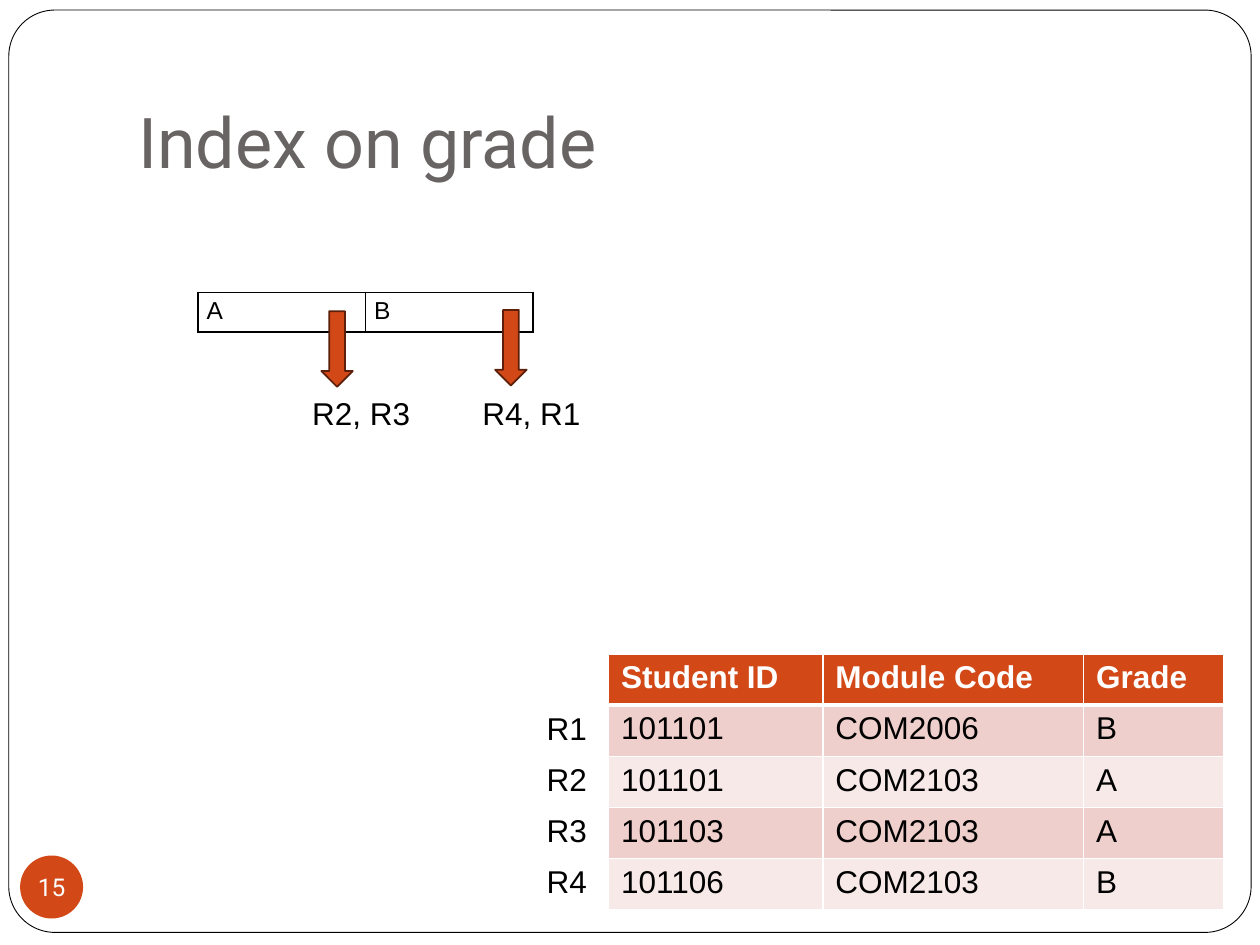
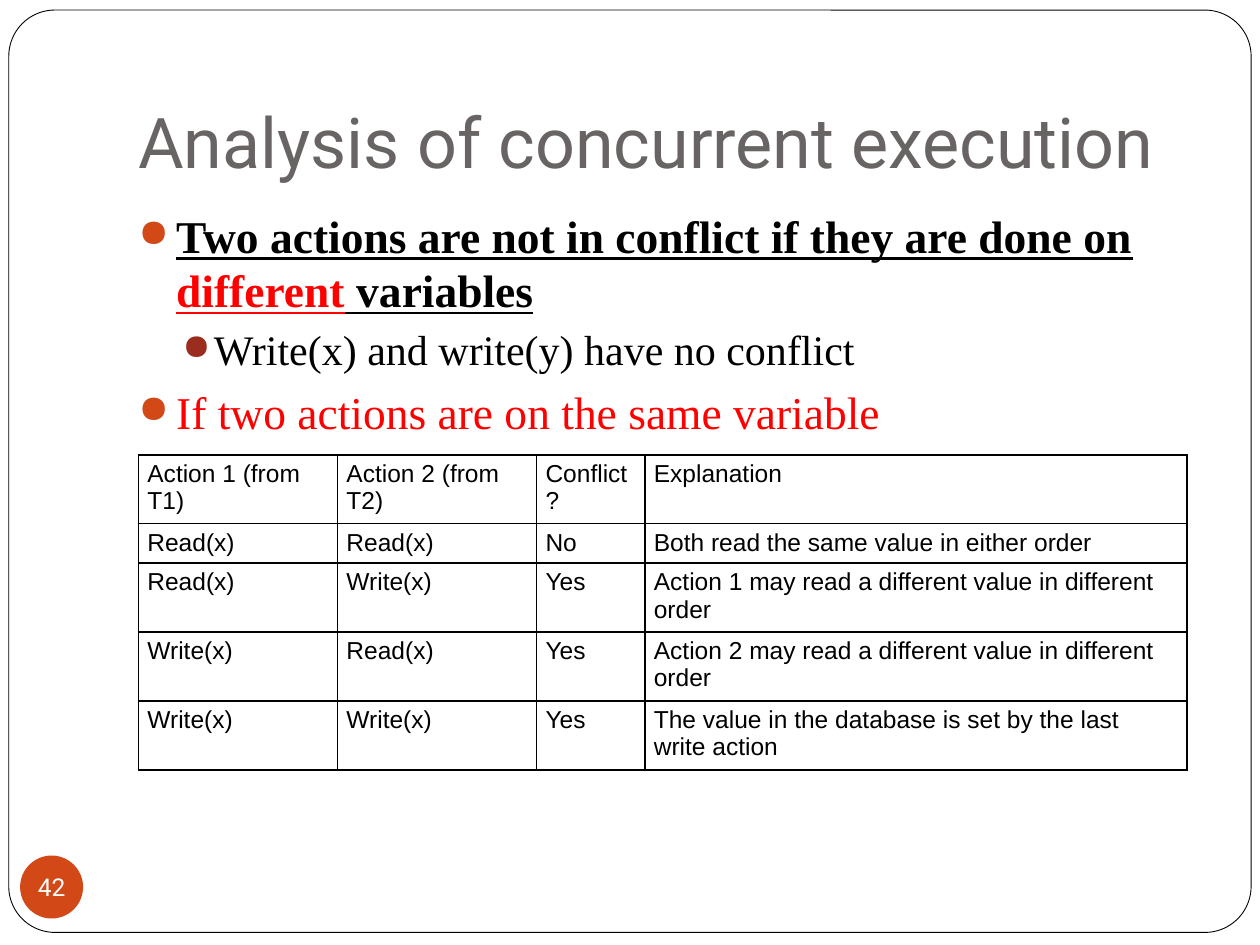
from dataclasses import dataclass
from typing import NamedTuple, Optional, Sequence

from lxml.etree import SubElement
from pptx import Presentation
from pptx.dml.color import RGBColor
from pptx.enum.shapes import MSO_SHAPE
from pptx.enum.text import MSO_ANCHOR, PP_ALIGN
from pptx.oxml.ns import qn
from pptx.presentation import Presentation as Deck
from pptx.shapes.autoshape import Shape
from pptx.slide import Slide
from pptx.table import _Cell
from pptx.text.text import TextFrame, _Paragraph
from pptx.util import Inches, Pt


@dataclass(frozen=True)
class Theme:
    accent: str = "D34817"
    accent_edge: str = "5C200A"
    sub_bullet: str = "9B2D1F"
    heading: str = "696464"
    ink: str = "000000"
    paper: str = "FFFFFF"
    highlight: str = "FF0000"
    band_dark: str = "EFCFCC"
    band_light: str = "F7E9E8"
    display_font: str = "Roboto"
    label_font: str = "Arial"
    body_font: str = "Times New Roman"
    title_size: int = 40
    point_size: int = 26
    sub_point_size: int = 24
    label_size: int = 18
    small_size: int = 14


THEME = Theme()


class Box(NamedTuple):
    left: float
    top: float
    width: float
    height: float

    def lengths(self) -> list[int]:
        return [Inches(value) for value in self]


class Insets(NamedTuple):
    left: float
    top: float
    right: float
    bottom: float


class Phrase(NamedTuple):
    text: str
    color: str = THEME.ink


class Point(NamedTuple):
    phrases: Sequence[Phrase]
    level: int = 0
    strong: bool = False


class BulletLevel(NamedTuple):
    left: float
    hanging: float
    color: str
    size: int
    space_before: float


class TableStyle(NamedTuple):
    size: int
    insets: Insets
    border: str
    header_fill: Optional[str] = None
    bands: Sequence[str] = ()


class Pointer(NamedTuple):
    """An index entry's arrow and the records it leads to."""
    arrow: Box
    records: str
    label_left: float


BULLET_LEVELS = (
    BulletLevel(0.3, 0.3, THEME.accent, THEME.point_size, 5.8),
    BulletLevel(0.6, 0.25, THEME.sub_bullet, THEME.sub_point_size, 3.8),
)
STANDARD_INSETS = Insets(0.1, 0.05, 0.1, 0.05)
GRID_STYLE = TableStyle(THEME.small_size, Insets(0.07, 0.04, 0.07, 0.04), THEME.ink)
BANDED_STYLE = TableStyle(THEME.label_size, STANDARD_INSETS, THEME.paper,
                          THEME.accent, (THEME.band_dark, THEME.band_light))


def rgb(color: str) -> RGBColor:
    return RGBColor.from_string(color)


def write(paragraph: _Paragraph, text: str, *, size: int, color: str = THEME.ink,
          font: str = THEME.label_font, bold: bool = False,
          underline: bool = False) -> None:
    run = paragraph.add_run()
    run.text = text
    run.font.name = font
    run.font.size = Pt(size)
    run.font.bold = bold
    run.font.underline = underline
    run.font.color.rgb = rgb(color)


def set_insets(frame: TextFrame | _Cell, insets: Insets) -> None:
    frame.margin_left, frame.margin_top, frame.margin_right, frame.margin_bottom = (
        Inches(value) for value in insets)


def add_frame(slide: Slide, box: Box, insets: Insets = STANDARD_INSETS) -> TextFrame:
    frame = slide.shapes.add_textbox(*box.lengths()).text_frame
    frame.word_wrap = True
    set_insets(frame, insets)
    return frame


def add_label(slide: Slide, text: str, left: float, top: float, width: float) -> None:
    frame = add_frame(slide, Box(left, top, width, 0.4))
    write(frame.paragraphs[0], text, size=THEME.label_size)


def add_filled_shape(slide: Slide, preset: MSO_SHAPE, box: Box, fill: str,
                     line: Optional[str] = None, line_width: float = 1) -> Shape:
    shape = slide.shapes.add_shape(preset, *box.lengths())
    shape.shadow.inherit = False
    shape.fill.solid()
    shape.fill.fore_color.rgb = rgb(fill)
    if line:
        shape.line.color.rgb = rgb(line)
        shape.line.width = Pt(line_width)
    else:
        shape.line.fill.background()
    return shape


def start_slide(deck: Deck, title: str, number: int) -> Slide:
    """Add a slide with the rounded frame, title and number badge."""
    slide = deck.slides.add_slide(deck.slide_layouts[6])
    frame = add_filled_shape(slide, MSO_SHAPE.ROUNDED_RECTANGLE,
                             Box(0.07, 0.08, 9.86, 7.32), THEME.paper, THEME.ink, 0.5)
    frame.adjustments[0] = 0.05

    heading = add_frame(slide, Box(1, 0.3, 8.5, 1.25), Insets(0.1, 0.05, 0.1, 0.1))
    heading.vertical_anchor = MSO_ANCHOR.BOTTOM
    write(heading.paragraphs[0], title, size=THEME.title_size,
          color=THEME.heading, font=THEME.display_font)

    badge = add_filled_shape(slide, MSO_SHAPE.OVAL, Box(0.16, 6.79, 0.5, 0.5),
                             THEME.accent).text_frame
    badge.word_wrap = False
    badge.vertical_anchor = MSO_ANCHOR.MIDDLE
    set_insets(badge, Insets(0, 0, 0, 0))
    badge.paragraphs[0].alignment = PP_ALIGN.CENTER
    write(badge.paragraphs[0], str(number), size=THEME.small_size,
          color=THEME.paper, font=THEME.display_font)
    return slide


def set_borders(cell: _Cell, color: str, top: float = 1, bottom: float = 1) -> None:
    properties = cell._tc.get_or_add_tcPr()
    for side, width in (("L", 1), ("R", 1), ("T", top), ("B", bottom)):
        line = SubElement(properties, qn(f"a:ln{side}"), w=str(Pt(width)))
        fill = SubElement(line, qn("a:solidFill"))
        SubElement(fill, qn("a:srgbClr"), val=color)


def add_table(slide: Slide, box: Box, widths: Sequence[float],
              rows: Sequence[Sequence[str]], style: TableStyle) -> None:
    table = slide.shapes.add_table(len(rows), len(widths), *box.lengths()).table
    table.first_row = table.horz_banding = False
    for column, width in zip(table.columns, widths):
        column.width = Inches(width)
    for row_index, values in enumerate(rows):
        table.rows[row_index].height = Inches(box.height / len(rows))
        is_header = style.header_fill is not None and row_index == 0
        below_header = style.header_fill is not None and row_index == 1
        for column_index, value in enumerate(values):
            cell = table.cell(row_index, column_index)
            set_insets(cell, style.insets)
            set_borders(cell, style.border, top=3 if below_header else 1,
                        bottom=3 if is_header else 1)
            if style.bands:
                band = style.bands[(row_index - 1) % len(style.bands)]
                cell.fill.solid()
                cell.fill.fore_color.rgb = rgb(style.header_fill if is_header else band)
            else:
                cell.fill.background()
            write(cell.text_frame.paragraphs[0], value, size=style.size, bold=is_header,
                  color=THEME.paper if is_header else THEME.ink)


def add_bullet(paragraph: _Paragraph, level: BulletLevel) -> None:
    properties = paragraph._p.get_or_add_pPr()
    properties.set("marL", str(Inches(level.left)))
    properties.set("indent", str(-Inches(level.hanging)))
    color = SubElement(properties, qn("a:buClr"))
    SubElement(color, qn("a:srgbClr"), val=level.color)
    SubElement(properties, qn("a:buSzPct"), val="85000")
    SubElement(properties, qn("a:buChar"), char="●")


def add_points(slide: Slide, box: Box, points: Sequence[Point]) -> None:
    frame = add_frame(slide, box)
    for index, point in enumerate(points):
        paragraph = frame.add_paragraph() if index else frame.paragraphs[0]
        level = BULLET_LEVELS[point.level]
        paragraph.level = point.level
        add_bullet(paragraph, level)
        if index:
            paragraph.space_before = Pt(level.space_before)
        for phrase in point.phrases:
            write(paragraph, phrase.text, size=level.size, color=phrase.color,
                  font=THEME.body_font, bold=point.strong, underline=point.strong)


def build_index_slide(deck: Deck) -> None:
    slide = start_slide(deck, "Index on grade", 15)
    records = (
        ("Student ID", "Module Code", "Grade"),
        ("101101", "COM2006", "B"),
        ("101101", "COM2103", "A"),
        ("101103", "COM2103", "A"),
        ("101106", "COM2103", "B"),
    )
    records_box = Box(4.83, 5.19, 4.88, 2.03)
    add_table(slide, records_box, (1.7, 2.07, 1.11), records, BANDED_STYLE)
    row_height = records_box.height / len(records)
    for number in range(1, len(records)):
        add_label(slide, f"R{number}", 4.24,
                  records_box.top + number * row_height - 0.02, 0.62)

    add_table(slide, Box(1.57, 2.32, 2.67, 0.31), (1.33, 1.33), (("A", "B"),), GRID_STYLE)
    pointers = (
        Pointer(Box(2.55, 2.47, 0.25, 0.6), "R2, R3", 2.38),
        Pointer(Box(3.93, 2.46, 0.25, 0.6), "R4, R1", 3.73),
    )
    for pointer in pointers:
        add_filled_shape(slide, MSO_SHAPE.DOWN_ARROW, pointer.arrow,
                         THEME.accent, THEME.accent_edge)
        add_label(slide, pointer.records, pointer.label_left, 3.08, 1.14)


def build_conflict_slide(deck: Deck) -> None:
    slide = start_slide(deck, "Analysis of concurrent execution", 42)
    add_points(slide, Box(1, 1.6, 8.5, 5), (
        Point((Phrase("Two actions are not in conflict if they are done on "),
               Phrase("different", THEME.highlight),
               Phrase(" variables")), strong=True),
        Point((Phrase("Write(x) and write(y) have no conflict"),), level=1),
        Point((Phrase("If two actions are on the same variable", THEME.highlight),)),
    ))
    add_table(slide, Box(1.1, 3.61, 8.31, 1.54), (1.58, 1.58, 0.86, 4.3), (
        ("Action 1 (from T1)", "Action 2 (from T2)", "Conflict?", "Explanation"),
        ("Read(x)", "Read(x)", "No", "Both read the same value in either order"),
        ("Read(x)", "Write(x)", "Yes",
         "Action 1 may read a different value in different order"),
        ("Write(x)", "Read(x)", "Yes",
         "Action 2 may read a different value in different order"),
        ("Write(x)", "Write(x)", "Yes",
         "The value in the database is set by the last write action"),
    ), GRID_STYLE)


def main() -> None:
    deck = Presentation()
    deck.slide_width, deck.slide_height = Inches(10), Inches(7.5)
    build_index_slide(deck)
    build_conflict_slide(deck)
    deck.save("out.pptx")


if __name__ == "__main__":
    main()
